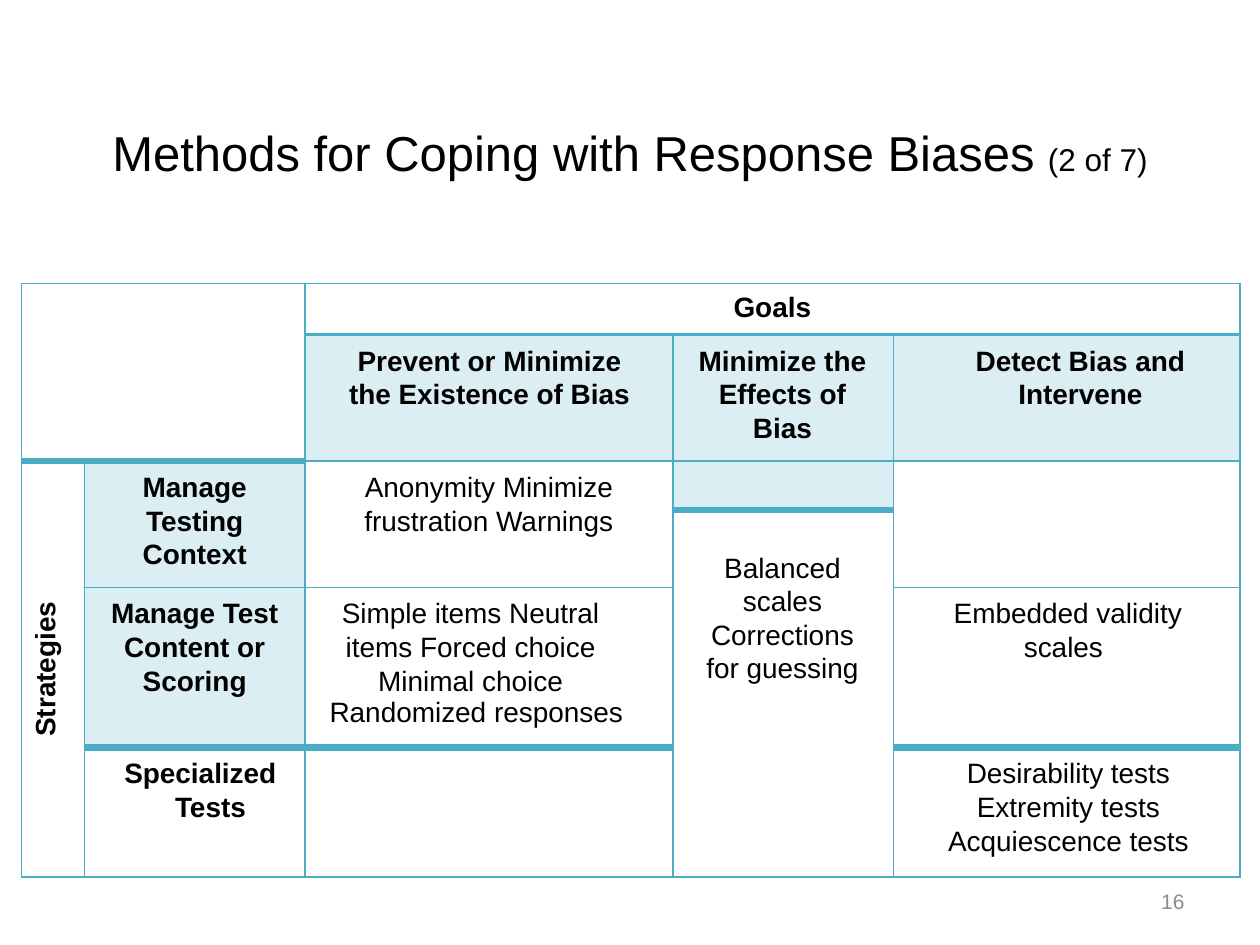
"""Build a slide with a table of strategies and goals for coping with response biases."""
from dataclasses import dataclass

import lxml.etree
import pptx
import pptx.dml.color
import pptx.enum.text
import pptx.oxml.ns
import pptx.util

Inches = pptx.util.Inches
Pt = pptx.util.Pt
RGBColor = pptx.dml.color.RGBColor
qn = pptx.oxml.ns.qn

BLACK = RGBColor(0x00, 0x00, 0x00)
GRAY = RGBColor(0x8C, 0x8C, 0x8C)
TEAL = RGBColor(0x4B, 0xAC, 0xC6)

FONT = "Arial"
INSET = 0.07
LINE_SPACING = 1.08
COLUMN_WIDTHS = (0.5, 1.75, 2.92, 1.75, 2.75)
ROW_HEIGHTS = (0.39, 0.96, 0.39, 0.57, 1.21, 1.03)
TOP_BORDERS = {
    (1, 2): 2, (1, 3): 2, (1, 4): 2,
    (2, 0): 4, (2, 1): 4, (3, 3): 4,
    (5, 1): 4, (5, 2): 4, (5, 4): 4,
}


@dataclass(frozen=True)
class Line:
    """A paragraph with its left, right and first-line indents."""
    text: str
    left: float = 0
    right: float = 0
    first: float = 0
    spacing: float = LINE_SPACING


@dataclass(frozen=True)
class Entry:
    """A table cell, possibly spanning several rows and columns."""
    row: int
    column: int
    lines: tuple[Line, ...] = ()
    rows: int = 1
    columns: int = 1
    bold: bool = False
    tinted: bool = False
    vertical: bool = False
    top: float = INSET


ENTRIES = (
    Entry(0, 0, rows=2, columns=2),
    Entry(0, 2, (Line("Goals", spacing=1),), columns=3, bold=True),
    Entry(1, 2, (Line("Prevent or Minimize the Existence of Bias", 0.21, 0.2),), bold=True, tinted=True),
    Entry(1, 3, (Line("Minimize the Effects of Bias", 0.12, 0.13),), bold=True, tinted=True),
    Entry(1, 4, (Line("Detect Bias and Intervene", 0.22),), bold=True, tinted=True),
    Entry(2, 0, (Line("Strategies", spacing=1),), rows=4, bold=True, vertical=True),
    Entry(2, 1, (Line("Manage Testing Context", 0.19, 0.19),), rows=2, bold=True, tinted=True),
    Entry(2, 2, (Line("Anonymity Minimize frustration Warnings", 0.19, 0.19),), rows=2),
    Entry(2, 3, tinted=True),
    Entry(2, 4, rows=2),
    Entry(3, 3, (Line("Balanced scales Corrections for guessing", 0.16, 0.17),), rows=3, top=0.32),
    Entry(4, 1, (Line("Manage Test Content or Scoring", 0.12, 0.12),), bold=True, tinted=True),
    Entry(4, 2, (
        Line("Simple items Neutral items Forced choice Minimal choice", 0, 0.29),
        Line("Randomized responses", 0.09, 0.29, spacing=1),
    )),
    Entry(4, 4, (Line("Embedded validity scales", 0.18, 0.23, 0.07),)),
    Entry(5, 1, (Line("Specialized Tests", 0.25, 0, -0.16),), bold=True),
    Entry(5, 2),
    Entry(5, 4, (Line("Desirability tests Extremity tests Acquiescence tests", 0.05, 0.02),)),
)


def add_run(paragraph, text: str, size: float, color: RGBColor = BLACK, bold: bool = False) -> None:
    """Append one formatted run to a paragraph."""
    run = paragraph.add_run()
    run.text = text
    run.font.name = FONT
    run.font.size = Pt(size)
    run.font.bold = bold
    run.font.color.rgb = color


def set_borders(cell, row: int, column: int, rows: int = 1) -> None:
    """Draw the four borders of a cell."""
    properties = cell._tc.get_or_add_tcPr()
    widths = {
        "lnL": 1,
        "lnR": 1,
        "lnT": TOP_BORDERS.get((row, column), 1),
        "lnB": TOP_BORDERS.get((row + rows, column), 1),
    }
    for name, width in widths.items():
        border = lxml.etree.SubElement(properties, qn(f"a:{name}"), w=str(Pt(width)))
        fill = lxml.etree.SubElement(border, qn("a:solidFill"))
        lxml.etree.SubElement(fill, qn("a:srgbClr"), val=str(TEAL))


def tint(cell) -> None:
    """Fill a cell with translucent teal."""
    cell.fill.solid()
    cell.fill.fore_color.rgb = TEAL
    color = cell._tc.tcPr.find(".//" + qn("a:srgbClr") + "[last()]")
    color = cell._tc.tcPr.find(qn("a:solidFill")).find(qn("a:srgbClr"))
    lxml.etree.SubElement(color, qn("a:alpha"), val="20000")


def write_entry(table, entry: Entry) -> None:
    """Fill one table cell with its text and background."""
    cell = table.cell(entry.row, entry.column)
    if entry.tinted:
        tint(cell)
    else:
        cell.fill.background()
    cell.margin_left = cell.margin_right = Inches(INSET)
    cell.margin_top = Inches(entry.top if entry.lines else 0)
    cell.margin_bottom = Inches(INSET if entry.lines else 0)
    if entry.vertical:
        cell._tc.tcPr.set("vert", "vert270")
    for index, line in enumerate(entry.lines):
        paragraph = cell.text_frame.paragraphs[0] if index == 0 else cell.text_frame.add_paragraph()
        paragraph.alignment = pptx.enum.text.PP_ALIGN.CENTER
        paragraph.line_spacing = line.spacing
        properties = paragraph._p.get_or_add_pPr()
        for name, value in (("marL", line.left), ("marR", line.right), ("indent", line.first)):
            properties.set(name, str(Inches(value)))
        add_run(paragraph, line.text, 16, bold=entry.bold)


def add_strategy_table(slide) -> None:
    """Add the table of strategies by goals."""
    frame = slide.shapes.add_table(
        len(ROW_HEIGHTS), len(COLUMN_WIDTHS), Inches(0.17), Inches(2.25),
        Inches(sum(COLUMN_WIDTHS)), Inches(sum(ROW_HEIGHTS)))
    table = frame.table
    table.first_row = table.horz_banding = False
    for column, width in zip(table.columns, COLUMN_WIDTHS):
        column.width = Inches(width)
    for row, height in zip(table.rows, ROW_HEIGHTS):
        row.height = Inches(height)
    spans = {(entry.row, entry.column): entry.rows for entry in ENTRIES}
    for row in range(len(ROW_HEIGHTS)):
        for column in range(len(COLUMN_WIDTHS)):
            set_borders(table.cell(row, column), row, column, spans.get((row, column), 1))
    for entry in ENTRIES:
        if entry.rows * entry.columns > 1:
            last = table.cell(entry.row + entry.rows - 1, entry.column + entry.columns - 1)
            table.cell(entry.row, entry.column).merge(last)
        write_entry(table, entry)


def add_title(slide) -> None:
    """Place and write the slide title."""
    title = slide.shapes.title
    title.left, title.top, title.width, title.height = map(Inches, (0.5, 0.58, 9, 1.25))
    title.text_frame.vertical_anchor = pptx.enum.text.MSO_ANCHOR.MIDDLE
    paragraph = title.text_frame.paragraphs[0]
    paragraph.alignment = pptx.enum.text.PP_ALIGN.CENTER
    add_run(paragraph, "Methods for Coping with Response Biases ", 28)
    add_run(paragraph, "(2 of 7)", 18)


def add_slide_number(slide) -> None:
    """Write the slide number at the lower right."""
    box = slide.shapes.add_textbox(Inches(9), Inches(6.95), Inches(0.5), Inches(0.4))
    box.text_frame.word_wrap = True
    box.text_frame.vertical_anchor = pptx.enum.text.MSO_ANCHOR.MIDDLE
    paragraph = box.text_frame.paragraphs[0]
    paragraph.alignment = pptx.enum.text.PP_ALIGN.RIGHT
    add_run(paragraph, "16", 12, GRAY)


def main() -> None:
    """Build and save the presentation."""
    presentation = pptx.Presentation()
    presentation.slide_width = Inches(10)
    presentation.slide_height = Inches(7.5)
    slide = presentation.slides.add_slide(presentation.slide_layouts[5])
    add_title(slide)
    add_slide_number(slide)
    add_strategy_table(slide)
    presentation.save("out.pptx")


if __name__ == "__main__":
    main()
